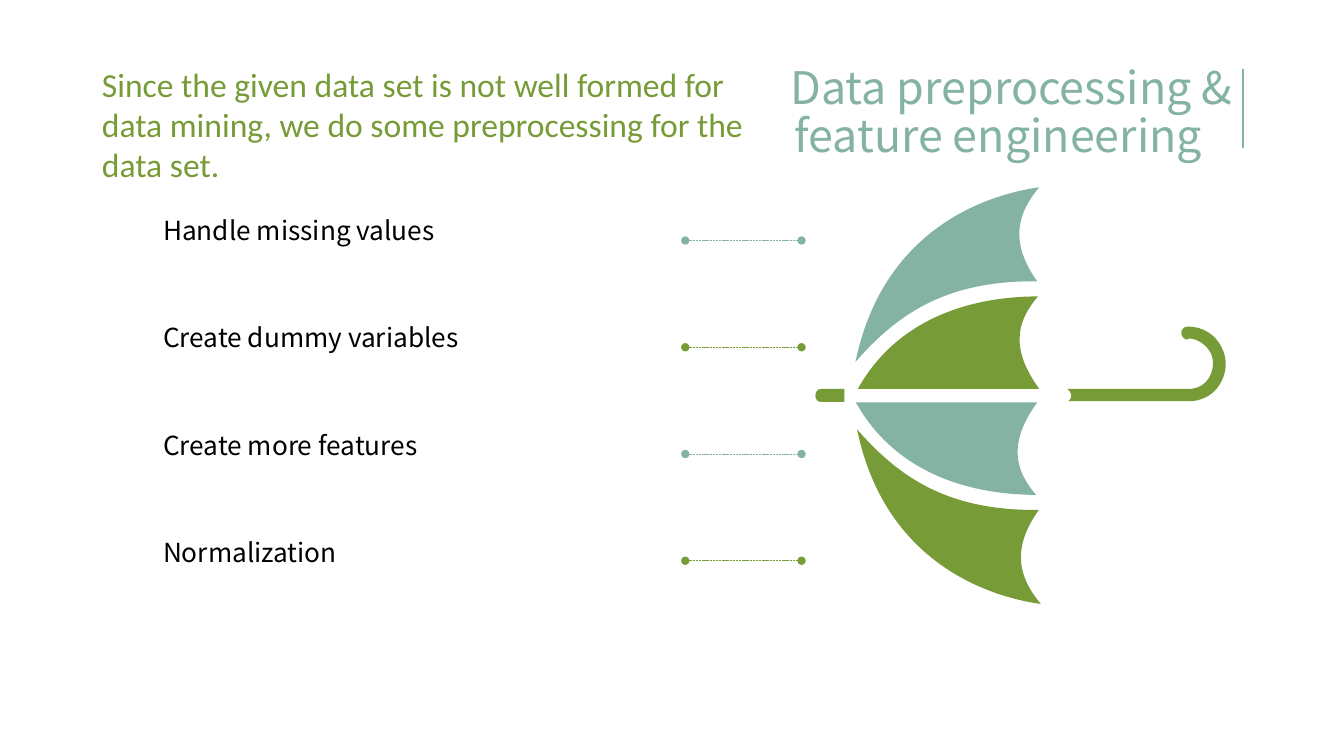
from lxml.etree import SubElement
from pptx import Presentation
from pptx.dml.color import RGBColor
from pptx.enum.shapes import MSO_CONNECTOR as Connector
from pptx.oxml.ns import qn
from pptx.util import Cm, Pt

TEAL, GREEN, BLACK = "84B3A3", "779B37", "000000"
SANS, BODY = "Noto Sans CJK SC", "Calibri"


def color(value):
    return RGBColor.from_string(value)


def pairs(numbers):
    return list(zip(numbers[::2], numbers[1::2]))


class SlideWriter:
    """Draws on one slide; all lengths are in centimetres."""

    def __init__(self, slide):
        self.shapes = slide.shapes

    def text(self, words, left, top, width, height, size, ink, font=SANS,
             spacing=None, hanging=0):
        frame = self.shapes.add_textbox(Cm(left), Cm(top), Cm(width), Cm(height)).text_frame
        frame.word_wrap = True
        paragraph = frame.paragraphs[0]
        paragraph.text = words
        if hanging:
            properties = paragraph._p.get_or_add_pPr()
            properties.set("marL", str(Cm(hanging)))
            properties.set("indent", str(-Cm(hanging)))
        if spacing:
            paragraph.line_spacing = spacing
        paragraph.font.size = Pt(size)
        paragraph.font.name = font
        paragraph.font.color.rgb = color(ink)
        return frame

    def line(self, x1, y1, x2, y2, ink, width, dotted_ends=False):
        connector = self.shapes.add_connector(Connector.STRAIGHT, Cm(x1), Cm(y1), Cm(x2), Cm(y2))
        connector.line.color.rgb = color(ink)
        connector.line.width = Pt(width)
        if dotted_ends:
            outline = connector.line._get_or_add_ln()
            SubElement(outline, qn("a:prstDash"), val="sysDash")
            for end in ("a:headEnd", "a:tailEnd"):
                SubElement(outline, qn(end), type="oval")
        SubElement(connector._element.spPr, qn("a:effectLst"))

    def outline(self, segments, ink):
        """Two numbers are a corner, six are a cubic curve; the first is the start."""
        corners = [(Cm(x), Cm(y)) for segment in segments for x, y in pairs(segment)]
        builder = self.shapes.build_freeform(*corners[0])
        builder.add_line_segments(corners[1:], close=True)
        shape = builder.convert_to_shape()
        shape.shadow.inherit = False
        shape.fill.solid()
        shape.fill.fore_color.rgb = color(ink)
        shape.line.fill.background()

        # Join each run of three points into one curve
        steps = iter(list(shape._element.iter(qn("a:lnTo"))))
        for segment in segments[1:]:
            step = next(steps)
            if len(segment) == 6:
                step_parent = step.getparent()
                curve = SubElement(step_parent, qn("a:cubicBezTo"))
                step_parent.replace(step, curve)
                curve.append(step[0])
                for _ in range(2):
                    extra = next(steps)
                    curve.append(extra[0])
                    step_parent.remove(extra)


def mirrored(segments, shift, mirror_sum=19.94):
    return [[value for x, y in pairs(segment) for value in (x + shift, mirror_sum - y)]
            for segment in segments]


def draw_umbrella(writer):
    # Canopy: two upper panels, mirrored below the shaft
    outer = [(21.56, 9.12),
             (22.23, 5.87, 24.71, 4.93, 26.19, 4.72),
             (25.48, 5.56, 25.58, 6.3, 26.14, 7.09),
             (23.77, 7.06, 22.56, 7.98, 21.56, 9.12)]
    inner = [(21.62, 9.8),
             (22.68, 7.9, 24.69, 7.47, 26.16, 7.47),
             (25.45, 8.28, 25.63, 9.02, 26.19, 9.8),
             (21.62, 9.8)]
    writer.outline(outer, TEAL)
    writer.outline(inner, GREEN)
    writer.outline(mirrored(inner, -0.05), TEAL)
    writer.outline(mirrored(outer, 0.04), GREEN)

    # Tip and hooked handle
    writer.outline([(20.7, 9.8), (21.28, 9.8), (21.28, 10.13), (20.7, 10.13),
                    (20.6, 10.13, 20.55, 10.06, 20.55, 9.97),
                    (20.55, 9.88, 20.6, 9.8, 20.7, 9.8)], GREEN)
    writer.outline([(29.92, 8.23),
                    (29.95, 8.23),
                    (30.3, 8.23, 30.63, 8.43, 30.78, 8.74),
                    (30.96, 9.07, 30.91, 9.45, 30.71, 9.73),
                    (30.56, 9.96, 30.3, 10.08, 30.05, 10.11),
                    (26.92, 10.11),
                    (26.97, 10.08, 27, 10.03, 27, 9.96),
                    (27, 9.91, 26.95, 9.83, 26.9, 9.8),
                    (30.02, 9.8),
                    (30.2, 9.78, 30.35, 9.7, 30.45, 9.55),
                    (30.58, 9.35, 30.61, 9.09, 30.51, 8.89),
                    (30.4, 8.69, 30.18, 8.53, 29.95, 8.53),
                    (29.92, 8.56),
                    (29.85, 8.56, 29.77, 8.48, 29.77, 8.38),
                    (29.77, 8.31, 29.85, 8.23, 29.92, 8.23)], GREEN)


def main():
    presentation = Presentation()
    presentation.slide_width, presentation.slide_height = Cm(33.87), Cm(19.05)
    writer = SlideWriter(presentation.slides.add_slide(presentation.slide_layouts[6]))

    # Title with its rule
    title = writer.text("Data preprocessing & feature engineering", 15.88, 1.53, 15.44, 4.27,
                        32, TEAL, spacing=0.9, hanging=0.1)
    title.margin_left, title.margin_right = Cm(4.04), 0
    writer.line(31.32, 1.73, 31.32, 3.73, TEAL, 1.5)

    draw_umbrella(writer)

    # Steps and their leader lines
    steps = ("Handle missing values", "Create dummy variables",
             "Create more features", "Normalization")
    for row, step in enumerate(steps):
        writer.text(step, 3.86, 5.27 + 2.71 * row, 13.06, 1.07, 18.7, BLACK)
        leader_y = 6.06 + 2.69 * row
        writer.line(20.2, leader_y, 17.27, leader_y, (TEAL, GREEN)[row % 2], 0.5,
                    dotted_ends=True)

    # Introduction
    writer.text("Since the given data set is not well formed for data mining, "
                "we do some preprocessing for the data set.",
                2.32, 1.48, 16.94, 3.33, 24, GREEN, font=BODY)

    presentation.save("out.pptx")


if __name__ == "__main__":
    main()
